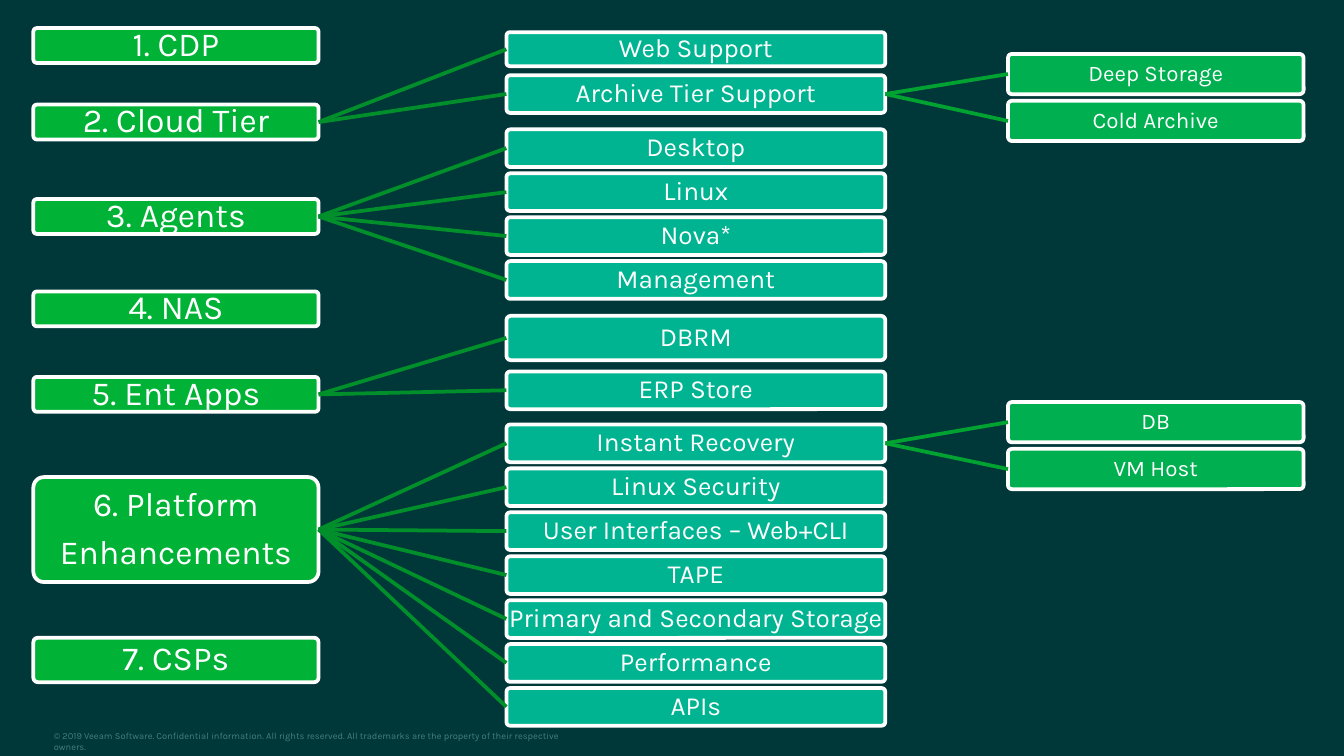
from dataclasses import dataclass

from lxml.etree import SubElement
from pptx import Presentation
from pptx.dml.color import RGBColor
from pptx.enum.shapes import MSO_CONNECTOR, MSO_SHAPE
from pptx.enum.text import MSO_ANCHOR, PP_ALIGN
from pptx.oxml.ns import qn
from pptx.util import Pt

NIGHT = RGBColor(0x00, 0x37, 0x38)
WHITE = RGBColor(0xFF, 0xFF, 0xFF)
GREEN = RGBColor(0x00, 0xB3, 0x36)
TEAL = RGBColor(0x00, 0xB4, 0x92)
LEAF_GREEN = RGBColor(0x00, 0xB0, 0x50)
BRANCH_GREEN = RGBColor(0x00, 0x8F, 0x2B)
TWIG_GREEN = RGBColor(0x00, 0xA2, 0x31)
MUTED = RGBColor(0x46, 0x7D, 0x7D)
FONT = "Karla"
RIGHT_SIDE, LEFT_SIDE = 3, 1


@dataclass
class Level:
    left: float
    width: float
    size: int
    fill: RGBColor
    link: RGBColor = None


LEVELS = [
    Level(17.9, 152.8, 18, GREEN),
    Level(271.3, 203, 14, TEAL, BRANCH_GREEN),
    Level(540, 158.4, 12, LEAF_GREEN, TWIG_GREEN),
]


@dataclass
class Node:
    label: str
    middle: float
    height: float
    children: tuple = ()


def stack(labels, middle, step, height):
    """Nodes of one height at equal steps, the first centred on middle."""
    return [Node(label, middle + i * step, height) for i, label in enumerate(labels)]


def leaves(labels, middle):
    return stack(labels, middle, 25.1, 21.6)


def features(labels, middle):
    return stack(labels, middle, 23.53, 20.2)


platform = features(
    ["Instant Recovery", "Linux Security", "User Interfaces – Web+CLI", "TAPE",
     "Primary and Secondary Storage", "Performance", "APIs"], 237.5)
platform[0].children = leaves(["DB", "VM Host"], 226.2)

TOPICS = [
    Node("1. CDP", 24.4, 18.7),
    Node("2. Cloud Tier", 65.4, 18.7, (
        Node("Web Support", 26.4, 18.2),
        Node("Archive Tier Support", 50.4, 20.2,
             leaves(["Deep Storage", "Cold Archive"], 39.7)),
    )),
    Node("3. Agents", 116, 18.7,
         features(["Desktop", "Linux", "Nova*", "Management"], 79.4)),
    Node("4. NAS", 165.5, 18.7),
    Node("5. Ent Apps", 211.3, 18.7, (
        Node("DBRM", 181.1, 23.8),
        Node("ERP Store", 209.1, 20.2),
    )),
    Node("6. Platform\nEnhancements", 283.7, 56.2, platform),
    Node("7. CSPs", 353.6, 23.8),
]


def add_span(para, text, size, color):
    span = para.add_run()
    span.text = text
    span.font.name = FONT
    span.font.size = Pt(size)
    span.font.color.rgb = color


def set_margins(frame, margin):
    frame.margin_left = frame.margin_right = Pt(margin)
    frame.margin_top = frame.margin_bottom = Pt(margin)


def add_box(page, node, level):
    box = page.shapes.add_shape(
        MSO_SHAPE.ROUNDED_RECTANGLE, Pt(level.left), Pt(node.middle - node.height / 2),
        Pt(level.width), Pt(node.height))
    box.adjustments[0] = 0.1
    box.shadow.inherit = False
    box.fill.solid()
    box.fill.fore_color.rgb = level.fill
    box.line.color.rgb = WHITE
    box.line.width = Pt(2)
    frame = box.text_frame
    set_margins(frame, 0.7)
    frame.word_wrap = False
    frame.vertical_anchor = MSO_ANCHOR.MIDDLE
    for i, line in enumerate(node.label.split("\n")):
        para = frame.add_paragraph() if i else frame.paragraphs[0]
        para.alignment = PP_ALIGN.CENTER
        para.line_spacing = 0.9
        if i:
            para.space_before = Pt(0.35 * level.size)
        add_span(para, line, level.size, WHITE)
    return box


def join(page, parent, child, color):
    line = page.shapes.add_connector(MSO_CONNECTOR.STRAIGHT, 0, 0, 0, 0)
    line.begin_connect(parent, RIGHT_SIDE)
    line.end_connect(child, LEFT_SIDE)
    line.line.color.rgb = color
    line.line.width = Pt(2)
    SubElement(line._element.spPr, qn("a:effectLst"))


def add_tree(page, node, depth=0):
    """Draw a node and everything that branches from it; return its box."""
    box = add_box(page, node, LEVELS[depth])
    for child in node.children:
        child_box = add_tree(page, child, depth + 1)
        join(page, box, child_box, LEVELS[depth + 1].link)
    return box


def add_footer(page, left, top, width, height):
    box = page.shapes.add_textbox(Pt(left), Pt(top), Pt(width), Pt(height))
    frame = box.text_frame
    set_margins(frame, 0)
    frame.word_wrap = True
    add_span(frame.paragraphs[0],
             "© 2019 Veeam Software. Confidential information. All rights reserved. "
             "All trademarks are the property of their respective owners.", 5, MUTED)


def main():
    deck = Presentation()
    deck.slide_width, deck.slide_height = Pt(720), Pt(405)
    page = deck.slides.add_slide(deck.slide_layouts[6])
    page.background.fill.solid()
    page.background.fill.fore_color.rgb = NIGHT
    add_footer(page, 28.8, 391, 288.7, 6)
    for topic in TOPICS:
        add_tree(page, topic)
    deck.save("out.pptx")


if __name__ == "__main__":
    main()
